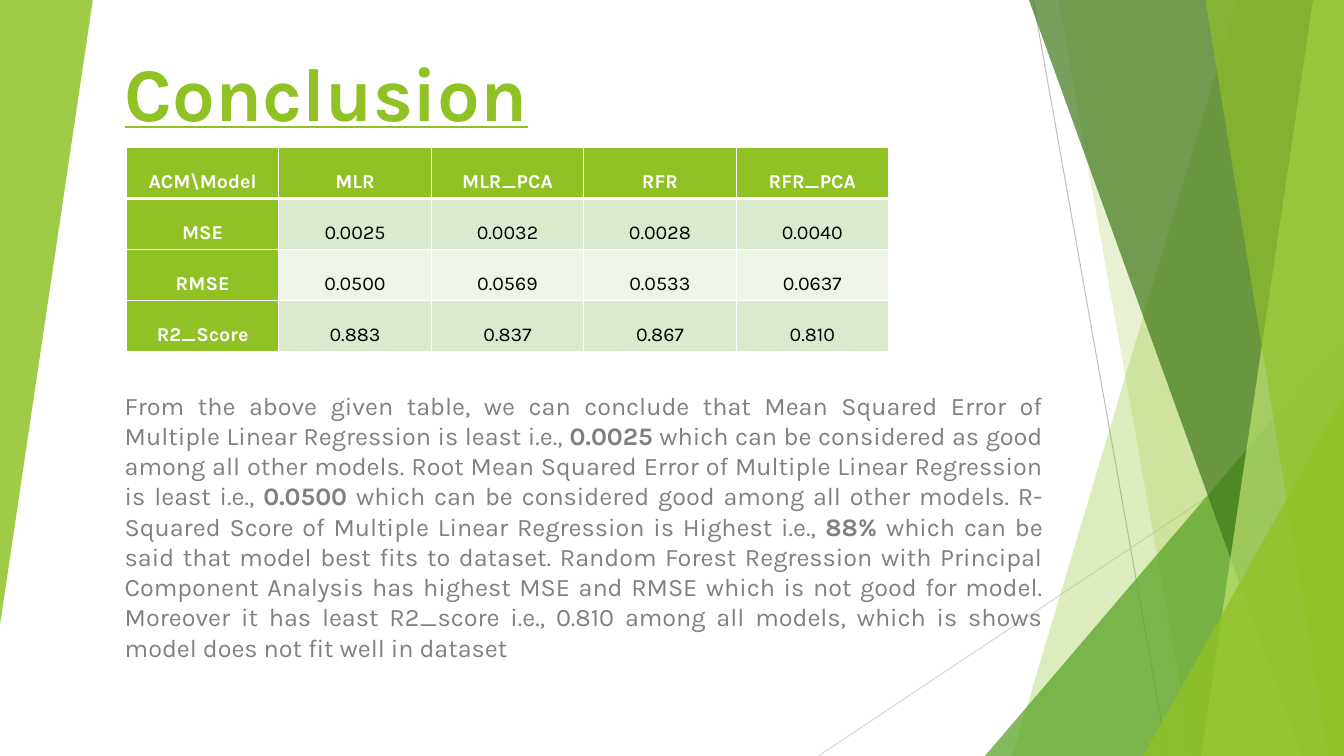
from lxml import etree
from pptx import Presentation
from pptx.dml.color import RGBColor
from pptx.enum.shapes import MSO_CONNECTOR, MSO_SHAPE
from pptx.enum.text import MSO_ANCHOR, MSO_AUTO_SIZE, PP_ALIGN
from pptx.oxml.ns import qn
from pptx.util import Pt

STRAIGHT = MSO_CONNECTOR.STRAIGHT
TRIANGLE = MSO_SHAPE.ISOSCELES_TRIANGLE
TOP = MSO_ANCHOR.TOP
LEFT, CENTER, JUSTIFY = PP_ALIGN.LEFT, PP_ALIGN.CENTER, PP_ALIGN.JUSTIFY
NO_AUTOFIT = MSO_AUTO_SIZE.NONE

WIDTH, HEIGHT = 960, 540
FONT = "Karla"
COLORS = {
    "lime": "90C226", "green": "54A021", "forest": "3F7819", "pale": "C0E474",
    "band": "DBE9CD", "light band": "EEF4E8", "white": "FFFFFF", "black": "000000",
    "text": "808080", "line": "BFBFBF", "light line": "D9D9D9",
}

TITLE = "Conclusion"
SCORES = [
    ["ACM\\Model", "MLR", "MLR_PCA", "RFR", "RFR_PCA"],
    ["MSE", "0.0025", "0.0032", "0.0028", "0.0040"],
    ["RMSE", "0.0500", "0.0569", "0.0533", "0.0637"],
    ["R2_Score", "0.883", "0.837", "0.867", "0.810"],
]
FINDINGS = [  # text, bold
    ("From the above given table, we can conclude that Mean Squared Error of Multiple "
     "Linear Regression is least i.e., ", False),
    ("0.0025", True),
    (" which can be considered as good among all other models. Root Mean Squared Error of "
     "Multiple Linear Regression is least i.e., ", False),
    ("0.0500", True),
    (" which can be considered good among all other models. R-Squared Score of Multiple "
     "Linear Regression is Highest i.e., ", False),
    ("88%", True),
    (" which can be said that model best fits to dataset. Random Forest Regression with "
     "Principal Component Analysis has highest MSE and RMSE which is not good for model. "
     "Moreover it has least R2_score i.e., 0.810 among all models, which is shows model "
     "does not fit well in dataset", False),
]

# Decoration, back to front
RAYS = [  # x1, y1, x2, y2, colour
    (738, 0, 834, HEIGHT, "line"),
    (WIDTH, 290, 584.6, HEIGHT, "light line"),
]
# A facet runs to the right edge: (top x, bottom x); a corner is a triangle: (left, top)
FACETS = [  # kind, first, second, colour, opacity in percent
    ("facet", 884.16, 722.88, "lime", 30),
    ("facet", 756, 851.76, "lime", 20),
    ("corner", 703.5, 239.8, "green", 72),
    ("facet", 735.12, 929.52, "forest", 70),
    ("facet", 938.16, 858.24, "pale", 70),
    ("facet", 861.12, 948.96, "lime", 65),
    ("corner", 816.5, 283, "lime", 80),
]


def rgb(name):
    return RGBColor.from_string(COLORS[name])


def paint(shape, color, opacity):
    shape.shadow.inherit = False
    shape.line.fill.background()
    shape.fill.solid()
    shape.fill.fore_color.rgb = rgb(color)
    tint = shape.fill._xPr.find(".//" + qn("a:srgbClr"))
    etree.SubElement(tint, qn("a:alpha"), val=str(opacity * 1000))


def add_triangle(slide, left, top, width, height):
    """Right-angled triangle with its upright side on the right."""
    triangle = slide.shapes.add_shape(TRIANGLE, Pt(left), Pt(top), Pt(width), Pt(height))
    triangle.adjustments[0] = 1
    return triangle


def add_facet(slide, top_x, bottom_x):
    builder = slide.shapes.build_freeform(top_x, 0, scale=Pt(1))
    builder.add_line_segments([(WIDTH, 0), (WIDTH, HEIGHT), (bottom_x, HEIGHT)])
    return builder.convert_to_shape()


def add_decoration(slide):
    for x1, y1, x2, y2, color in RAYS:
        ray = slide.shapes.add_connector(STRAIGHT, Pt(x1), Pt(y1), Pt(x2), Pt(y2))
        ray.line.color.rgb = rgb(color)
        ray.line.width = Pt(0.75)
        etree.SubElement(ray._element.spPr, qn("a:effectLst"))
    for kind, first, second, color, opacity in FACETS:
        if kind == "facet":
            shape = add_facet(slide, first, second)
        else:
            shape = add_triangle(slide, first, second, WIDTH - first, HEIGHT - second)
        paint(shape, color, opacity)
    left_wedge = add_triangle(slide, 0, 0, 66.3, 446.4)
    left_wedge.rotation = 180
    paint(left_wedge, "lime", 85)


def add_span(para, text, size, color, bold=False):
    span = para.add_run()
    span.text = text
    span.font.name = FONT
    span.font.size = Pt(size)
    span.font.bold = bold
    span.font.color.rgb = rgb(color)
    return span


def prepare_frame(frame, top_margin):
    frame.word_wrap = True
    frame.auto_size = NO_AUTOFIT
    frame.vertical_anchor = TOP
    frame.margin_top = Pt(top_margin)


def add_title(slide):
    title = slide.shapes.title
    title.left, title.top, title.width, title.height = Pt(82), Pt(33), Pt(611), Pt(68)
    prepare_frame(title.text_frame, 0)
    para = title.text_frame.paragraphs[0]
    para.alignment = LEFT
    add_span(para, TITLE, 54, "lime", True).font.underline = True


def set_borders(cell, top, bottom):
    widths = {"a:lnL": 1, "a:lnR": 1, "a:lnT": top, "a:lnB": bottom}
    properties = cell._tc.get_or_add_tcPr()
    for index, (side, width) in enumerate(widths.items()):
        border = etree.Element(qn(side), w=str(Pt(width)))
        fill = etree.SubElement(border, qn("a:solidFill"))
        etree.SubElement(fill, qn("a:srgbClr"), val=COLORS["white"])
        properties.insert(index, border)


def add_scores(slide):
    rows, columns = len(SCORES), len(SCORES[0])
    frame = slide.shapes.add_table(rows, columns, Pt(90.3), Pt(105.4), Pt(544.5), Pt(146))
    table = frame.table
    table.first_col = True
    for row, values in enumerate(SCORES):
        for column, value in enumerate(values):
            cell = table.cell(row, column)
            heading = row == 0 or column == 0
            band = "band" if row % 2 else "light band"
            cell.fill.solid()
            cell.fill.fore_color.rgb = rgb("lime" if heading else band)
            set_borders(cell, 3 if row == 1 else 1, 3 if row == 0 else 1)
            cell.margin_left = cell.margin_right = Pt(5)
            cell.margin_top = cell.margin_bottom = 0
            cell.vertical_anchor = TOP
            para = cell.text_frame.paragraphs[0]
            para.alignment = CENTER
            para.line_spacing = 2.0
            add_span(para, value, 14, "white" if heading else "black", heading)


def add_findings(slide):
    box = slide.shapes.add_textbox(Pt(82), Pt(267.8), Pt(670), Pt(235.4))
    prepare_frame(box.text_frame, 10.8)
    para = box.text_frame.paragraphs[0]
    para.alignment = JUSTIFY
    for text, bold in FINDINGS:
        add_span(para, text, 18, "text", bold)


def main():
    deck = Presentation()
    deck.slide_width, deck.slide_height = Pt(WIDTH), Pt(HEIGHT)
    slide = deck.slides.add_slide(deck.slide_layouts[5])
    add_decoration(slide)
    add_title(slide)
    add_scores(slide)
    add_findings(slide)
    deck.save("out.pptx")


if __name__ == "__main__":
    main()
